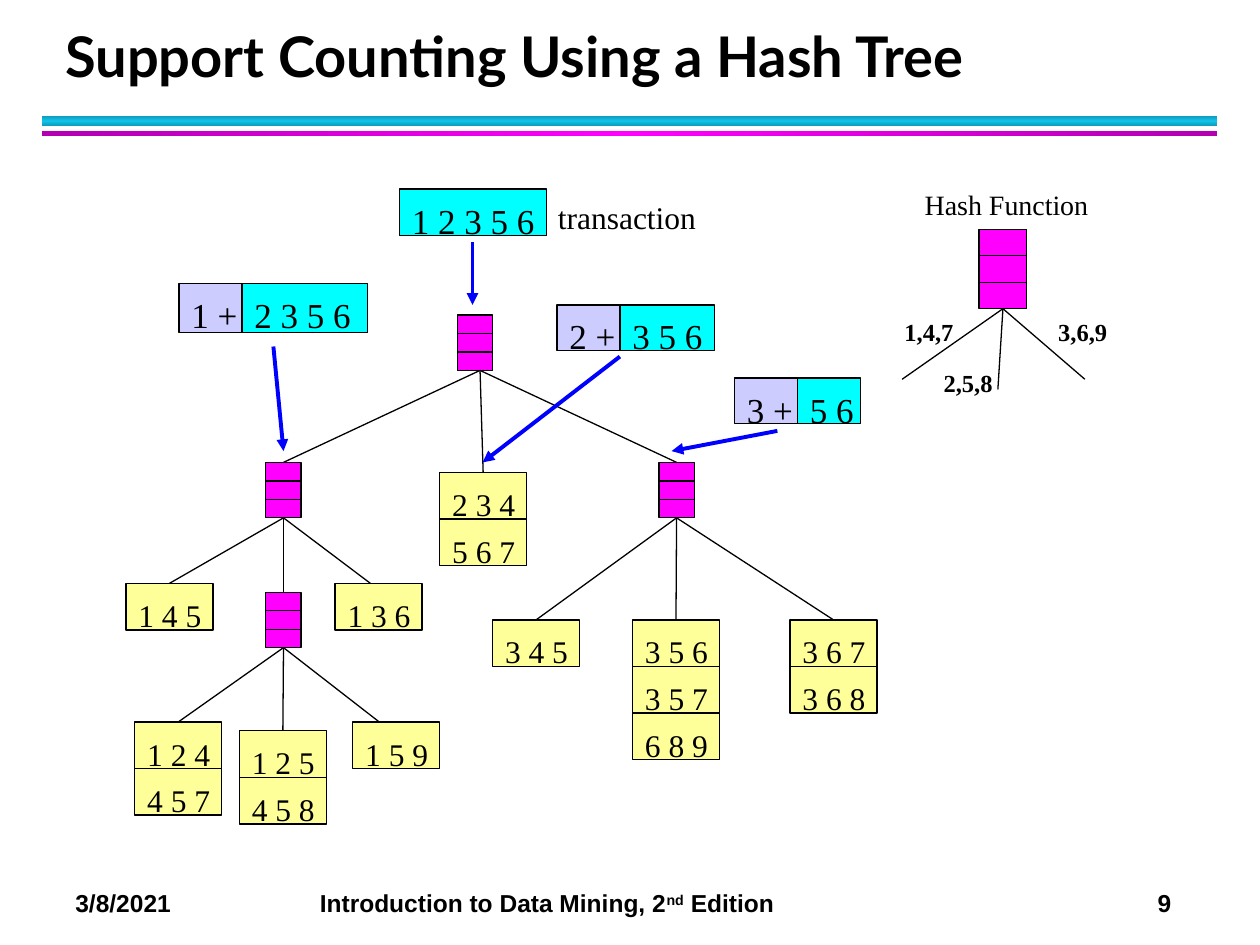
from copy import deepcopy

from lxml import etree
from pptx import Presentation
from pptx.dml import color
from pptx.enum import shapes, text
from pptx.oxml import ns
from pptx.util import Inches, Pt

COLORS = {
    "black": "000000", "arrow": "0000FF", "node": "FF00FF", "leaf": "FFFF99",
    "prefix": "CCCCFF", "items": "00FFFF",
    "cyan edge": "0E9BBA", "cyan mid": "12C2E9", "magenta edge": "B200B2",
}
SERIF = "Times New Roman"
NODE_W, NODE_H = 0.28, 0.44
LEAF_W, LEAF_H = 0.69, 0.37

deck = Presentation()
deck.slide_width, deck.slide_height = Inches(10), Inches(7.5)
slide = deck.slides.add_slide(deck.slide_layouts[6])


def rgb(name):
    return color.RGBColor.from_string(COLORS[name])


def draw(kind, x, y, w, h, words="", fill=None, size=18, font=SERIF, bold=False, top=0.05):
    """Draw a "box" (outlined rectangle) or a "label" (text only)."""
    if kind == "box":
        item = slide.shapes.add_shape(
            shapes.MSO_SHAPE.RECTANGLE, Inches(x), Inches(y), Inches(w), Inches(h))
        item.shadow.inherit = False
        item.fill.solid()
        item.fill.fore_color.rgb = rgb(fill)
        item.line.color.rgb = rgb("black")
        item.line.width = Pt(0.75)
    else:
        item = slide.shapes.add_textbox(Inches(x), Inches(y), Inches(w), Inches(h))
    frame = item.text_frame
    frame.word_wrap = True
    frame.vertical_anchor = text.MSO_ANCHOR.TOP
    frame.margin_top = Inches(top)
    frame.margin_right = frame.margin_bottom = 0
    frame.text = words
    paragraph = frame.paragraphs[0]
    paragraph.alignment = text.PP_ALIGN.LEFT
    for run in paragraph.runs:
        run.font.name, run.font.size, run.font.bold = font, Pt(size), bold
        run.font.color.rgb = rgb("black")
    return item


def connect(start, end, arrow=False):
    link = slide.shapes.add_connector(
        shapes.MSO_CONNECTOR.STRAIGHT, *(Inches(v) for v in (*start, *end)))
    link.line.color.rgb = rgb("arrow" if arrow else "black")
    link.line.width = Pt(2.25 if arrow else 0.75)
    properties = link._element.spPr
    if arrow:
        etree.SubElement(properties.find(ns.qn("a:ln")), ns.qn("a:tailEnd"), type="triangle")
    etree.SubElement(properties, ns.qn("a:effectLst"))
    return link


# Rules under the title
for y, height, edge, middle, angle in [
    (0.92, 0.08, "cyan edge", "cyan mid", 90),
    (1.04, 0.04, "magenta edge", "node", 0),
]:
    rule = slide.shapes.add_shape(
        shapes.MSO_SHAPE.RECTANGLE, Inches(0.33), Inches(y), Inches(9.33), Inches(height))
    rule.shadow.inherit = False
    rule.line.fill.background()
    rule.fill.gradient()
    rule.fill.gradient_angle = angle
    stop_list = rule._element.spPr.find(ns.qn("a:gradFill")).find(ns.qn("a:gsLst"))
    stop_list.insert(1, deepcopy(stop_list[0]))
    for stop, name, position in zip(rule.fill.gradient_stops, (edge, middle, edge), (0, 0.5, 1)):
        stop.color.rgb = rgb(name)
        stop.position = position

title = draw("label", 0.42, 0.17, 9.06, 0.58, "Support Counting Using a Hash Tree",
             size=32, font="Lato", bold=True)
title.text_frame.vertical_anchor = text.MSO_ANCHOR.BOTTOM
title.text_frame.margin_bottom = Inches(0.05)
title.text_frame.paragraphs[0].line_spacing = Pt(36)

# Footer: date, book and page number on tab stops
footer = draw("label", 0.5, 7, 9.33, 0.34)
footer_line = footer.text_frame.paragraphs[0]
tabs = etree.SubElement(footer_line._p.get_or_add_pPr(), ns.qn("a:tabLst"))
for stop in (1.94, 8.59):
    etree.SubElement(tabs, ns.qn("a:tab"), pos=str(Inches(stop)), algn="l")
for part in ("3/8/2021\tIntroduction to Data Mining, 2", "nd", " Edition\t9"):
    run = footer_line.add_run()
    run.text = part
    run.font.name, run.font.size, run.font.bold = "Arial", Pt(14), True
    run.font.color.rgb = rgb("black")
    if part == "nd":
        run._r.get_or_add_rPr().set("baseline", "30000")

# Hash tree: inner nodes with three slots, leaves with stacked candidates
tree = {}
for name, x, y, w, h in [
    ("root", 3.63, 2.5, NODE_W, NODE_H),
    ("left", 2.11, 3.67, NODE_W, NODE_H),
    ("right", 5.23, 3.67, NODE_W, NODE_H),
    ("lower", 2.11, 4.7, NODE_W, NODE_H),
    ("hash", 7.77, 1.82, 0.38, 0.63),
]:
    tree[name] = draw("box", x, y, w, h, fill="node")
    for slot in (1, 2):
        divider = y + h * slot / 3
        connect((x, divider), (x + w, divider))

for x, y, candidates in [
    (3.49, 3.75, ["2 3 4", "5 6 7"]),
    (1, 4.63, ["1 4 5"]),
    (2.66, 4.63, ["1 3 6"]),
    (3.91, 4.92, ["3 4 5"]),
    (5.02, 4.92, ["3 5 6", "3 5 7", "6 8 9"]),
    (6.27, 4.92, ["3 6 7", "3 6 8"]),
    (1.07, 5.73, ["1 2 4", "4 5 7"]),
    (1.9, 5.8, ["1 2 5", "4 5 8"]),
    (2.8, 5.73, ["1 5 9"]),
]:
    for row, candidate in enumerate(candidates):
        tree[candidate] = draw("box", x, y + row * LEAF_H, LEAF_W, LEAF_H, candidate,
                               fill="leaf", top=0.1)

# Branches: parent, fork x, then each child with the x where its branch lands
for parent, fork, children in [
    ("root", 3.81, {"left": 2.25, "2 3 4": 3.81, "right": 5.37}),
    ("left", 2.23, {"1 4 5": 1.35, "lower": 2.23, "1 3 6": 2.94}),
    ("right", 5.37, {"3 4 5": 4.26, "3 5 6": 5.37, "3 6 7": 6.61}),
    ("lower", 2.25, {"1 2 4": 1.42, "1 2 5": 2.25, "1 5 9": 3.01}),
]:
    above = tree[parent]
    for child, landing in children.items():
        below = tree[child]
        branch = connect((fork, (above.top + above.height) / Inches(1)),
                         (landing, below.top / Inches(1)))
        if abs(above.left + above.width / 2 - Inches(fork)) < Inches(0.03):
            branch.begin_connect(above, 2)
        if abs(below.left + below.width / 2 - Inches(landing)) < Inches(0.03):
            branch.end_connect(below, 0)

# Transaction and its split into prefix and remaining items
draw("box", 3.17, 1.5, 1.17, 0.37, "1 2 3 5 6", fill="items", size=20, top=0.08)
draw("label", 4.33, 1.5, 1.3, 0.4, "transaction", top=0.07)
for x, y, height, prefix, items, items_width in [
    (1.42, 2.25, 0.39, "1 +", "2 3 5 6", 1),
    (4.42, 2.42, 0.36, "2 +", "3 5 6", 0.75),
    (5.83, 3, 0.36, "3 +", "5 6", 0.5),
]:
    draw("box", x, y, 0.5, height, prefix, fill="prefix", size=20, top=0.08)
    draw("box", x + 0.5, y, items_width, height, items, fill="items", size=20, top=0.08)

for start, end in [
    ((3.75, 1.92), (3.75, 2.42)),
    ((2.17, 2.75), (2.25, 3.58)),
    ((4.92, 2.83), (3.83, 3.67)),
    ((6.17, 3.42), (5.33, 3.58)),
]:
    connect(start, end, arrow=True)

# Hash function legend
draw("label", 7.24, 1.42, 1.51, 0.37, "Hash Function", size=16, top=0.07)
for bucket, x, y, end in [
    ("1,4,7", 7.08, 2.45, (7.16, 3.01)),
    ("2,5,8", 7.39, 2.85, (7.92, 3.09)),
    ("3,6,9", 8.3, 2.45, (8.61, 3.01)),
]:
    draw("label", x, y, 0.59, 0.33, bucket, size=14, bold=True, top=0.07)
    connect((7.96, 2.45), end).begin_connect(tree["hash"], 2)

deck.save("out.pptx")
